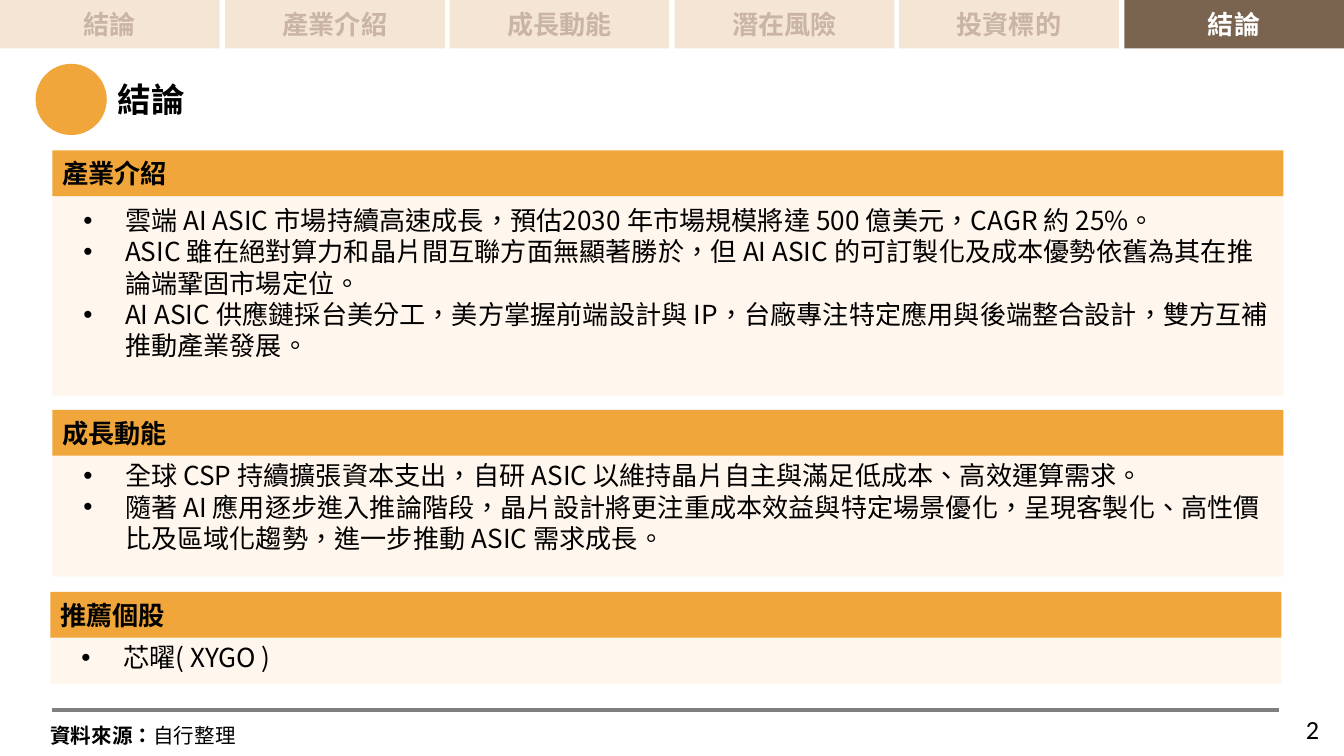
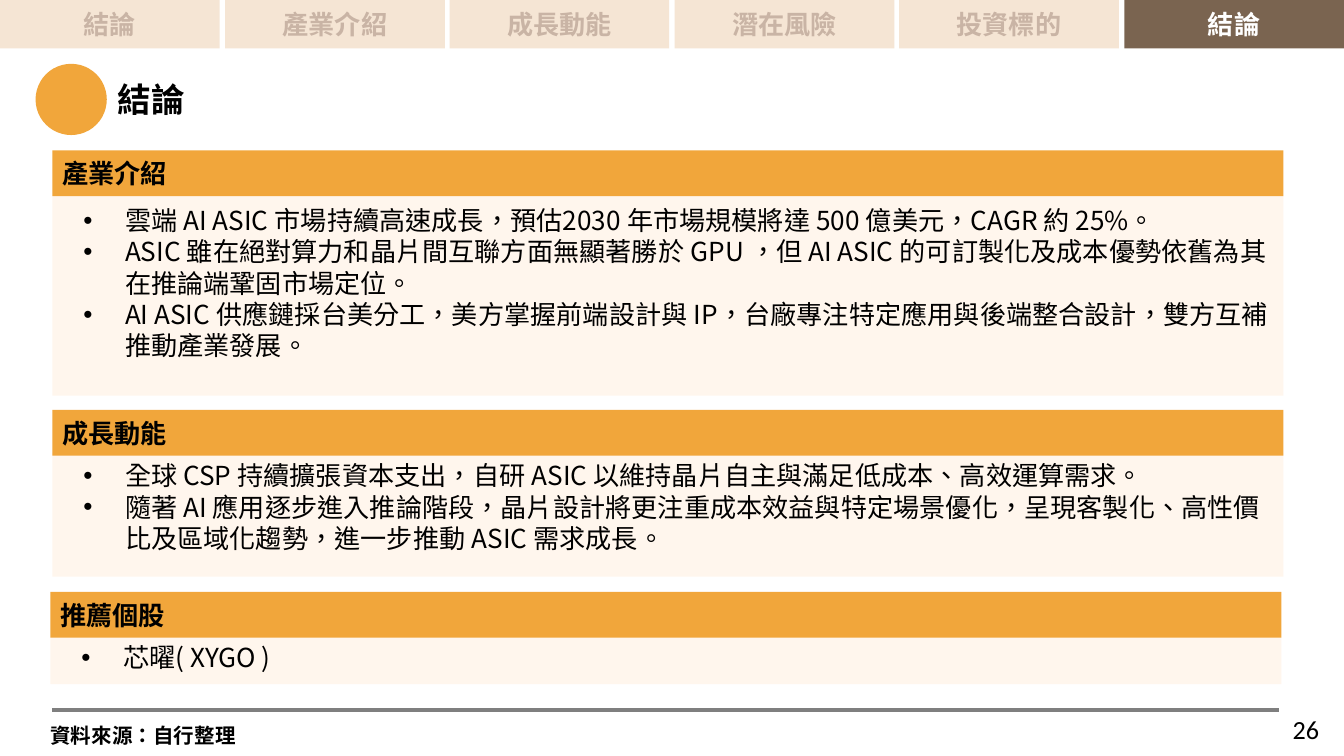
from dataclasses import dataclass

from lxml.etree import SubElement
from pptx import Presentation
from pptx.dml.color import RGBColor
from pptx.enum.shapes import MSO_CONNECTOR, MSO_SHAPE
from pptx.enum.text import MSO_ANCHOR, MSO_AUTO_SIZE, PP_ALIGN
from pptx.oxml.ns import qn
from pptx.util import Pt

PX = 4572


@dataclass(frozen=True)
class Theme:
    orange: str = "F1A63B"
    cream: str = "FFF6ED"
    tab: str = "F5E5D4"
    tab_text: str = "C9B4A5"
    active_tab: str = "7A6450"
    white: str = "FFFFFF"
    black: str = "000000"
    rule: str = "7F7F7F"
    font: str = "Noto Sans CJK TC"
    title_size: int = 18
    text_size: int = 14
    source_size: int = 11
    rule_width: float = 2.25


theme = Theme()


def write_text(shape, text, lead="", size=theme.text_size, color=theme.black,
               font=theme.font, bold=False, align=PP_ALIGN.LEFT,
               anchor=MSO_ANCHOR.TOP, grow=False, bullets=False):
    frame = shape.text_frame
    frame.word_wrap = True
    frame.auto_size = MSO_AUTO_SIZE.SHAPE_TO_FIT_TEXT if grow else MSO_AUTO_SIZE.NONE
    frame.vertical_anchor = anchor
    frame.margin_left = frame.margin_right = 15 * PX
    frame.margin_top = frame.margin_bottom = 8 * PX
    lines = [text] if isinstance(text, str) else text
    for index, line in enumerate(lines):
        paragraph = frame.add_paragraph() if index else frame.paragraphs[0]
        paragraph.alignment = align
        paragraph.line_spacing = 1.0
        paragraph.space_before = paragraph.space_after = Pt(0)
        if bullets:
            properties = paragraph._p.get_or_add_pPr()
            properties.set("marL", str(93 * PX))
            properties.set("indent", str(-62 * PX))
            bullet_color = SubElement(properties, qn("a:buClr"))
            SubElement(bullet_color, qn("a:srgbClr"), val=theme.black)
            SubElement(properties, qn("a:buFont"), typeface="Arial")
            SubElement(properties, qn("a:buChar"), char="•")
        for words, weight in ((lead, True), (line, bold)):
            if words:
                run = paragraph.add_run()
                run.text = words
                run.font.size = Pt(size)
                run.font.bold = weight
                run.font.name = font
                run.font.color.rgb = RGBColor.from_string(color)
                run_properties = run._r.get_or_add_rPr()
                run_properties.set("lang", "zh-TW")
                SubElement(run_properties, qn("a:ea"), typeface=theme.font)


def add_block(slide, box, color, kind=MSO_SHAPE.RECTANGLE):
    shape = slide.shapes.add_shape(kind, *(value * PX for value in box))
    shape.shadow.inherit = False
    shape.fill.solid()
    shape.fill.fore_color.rgb = RGBColor.from_string(color)
    shape.line.fill.background()
    return shape


tabs = ["結論", "產業介紹", "成長動能", "潛在風險", "投資標的", "結論"]
tab_fonts = {"產業介紹": "Arial"}

sections = [
    ("產業介紹", (78, 224, 1832, 68), (78, 292, 1832, 297), (78, 296, 1832, 250), 2, [
        "雲端 AI ASIC 市場持續高速成長，預估2030 年市場規模將達 500 億美元，CAGR 約 25%。",
        "ASIC 雖在絕對算力和晶片間互聯方面無顯著勝於{rival}，但 AI ASIC 的可訂製化及成本優勢依舊為其在推論端鞏固市場定位。",
        "AI ASIC 供應鏈採台美分工，美方掌握前端設計與 IP，台廠專注特定應用與後端整合設計，雙方互補推動產業發展。",
    ]),
    ("成長動能", (78, 610, 1832, 68), (78, 674, 1832, 184), (78, 676, 1828, 156), 4, [
        "全球 CSP 持續擴張資本支出，自研 ASIC 以維持晶片自主與滿足低成本、高效運算需求。",
        "隨著 AI 應用逐步進入推論階段，晶片設計將更注重成本效益與特定場景優化，呈現客製化、高性價比及區域化趨勢，進一步推動 ASIC 需求成長。",
    ]),
    ("推薦個股", (75, 881, 1832, 68), (75, 948, 1832, 70), (75, 947, 1206, 62), 1, [
        "芯曜( XYGO )",
    ]),
]

pages = [
    {"number": "2", "rival": "", "source_lead": "資料來源：", "source": "自行整理"},
    {"number": "26", "rival": " GPU ", "source_lead": "資料來源：自行整理", "source": ""},
]

presentation = Presentation()
presentation.slide_width = 2000 * PX
presentation.slide_height = 1125 * PX
comparison_layout = presentation.slide_layouts[4]

for page in pages:
    slide = presentation.slides.add_slide(comparison_layout)
    placeholders = {holder.placeholder_format.idx: holder for holder in slide.placeholders}

    add_block(slide, (53, 95, 106, 106), theme.orange, MSO_SHAPE.OVAL)
    title = slide.shapes.title
    title.left, title.top, title.width, title.height = (
        value * PX for value in (160, 110, 1738, 76))
    write_text(title, "結論", size=theme.title_size, bold=True, grow=True)

    for index, name in enumerate(tabs):
        active = index == len(tabs) - 1
        tab = add_block(slide, (round(index * 334.6), 0, 327, 72),
                        theme.active_tab if active else theme.tab)
        write_text(tab, name, color=theme.white if active else theme.tab_text,
                   font=tab_fonts.get(name, theme.font), bold=True,
                   align=PP_ALIGN.CENTER, anchor=MSO_ANCHOR.MIDDLE)

    for heading, band_box, panel_box, list_box, holder_index, points in sections:
        add_block(slide, panel_box, theme.cream)
        band = add_block(slide, band_box, theme.orange)
        write_text(band, heading, bold=True, anchor=MSO_ANCHOR.MIDDLE)
        body = placeholders.pop(holder_index)
        body.left, body.top, body.width, body.height = (value * PX for value in list_box)
        write_text(body, [point.format(rival=page["rival"]) for point in points],
                   grow=True, bullets=True)
        slide.shapes._spTree.append(body._element)

    unused = placeholders[3]._element
    unused.getparent().remove(unused)

    footer_rule = slide.shapes.add_connector(
        MSO_CONNECTOR.STRAIGHT, 78 * PX, 1057 * PX, 1904 * PX, 1057 * PX)
    footer_rule.line.color.rgb = RGBColor.from_string(theme.rule)
    footer_rule.line.width = Pt(theme.rule_width)
    SubElement(footer_rule._element.spPr, qn("a:effectLst"))

    source = slide.shapes.add_textbox(60 * PX, 1068 * PX, 1358 * PX, 53 * PX)
    write_text(source, page["source"], lead=page["source_lead"],
               size=theme.source_size, grow=True)
    number = slide.shapes.add_textbox(1528 * PX, 1055 * PX, 450 * PX, 60 * PX)
    write_text(number, page["number"], font="Calibri",
               align=PP_ALIGN.RIGHT, anchor=MSO_ANCHOR.MIDDLE)

presentation.save("out.pptx")
